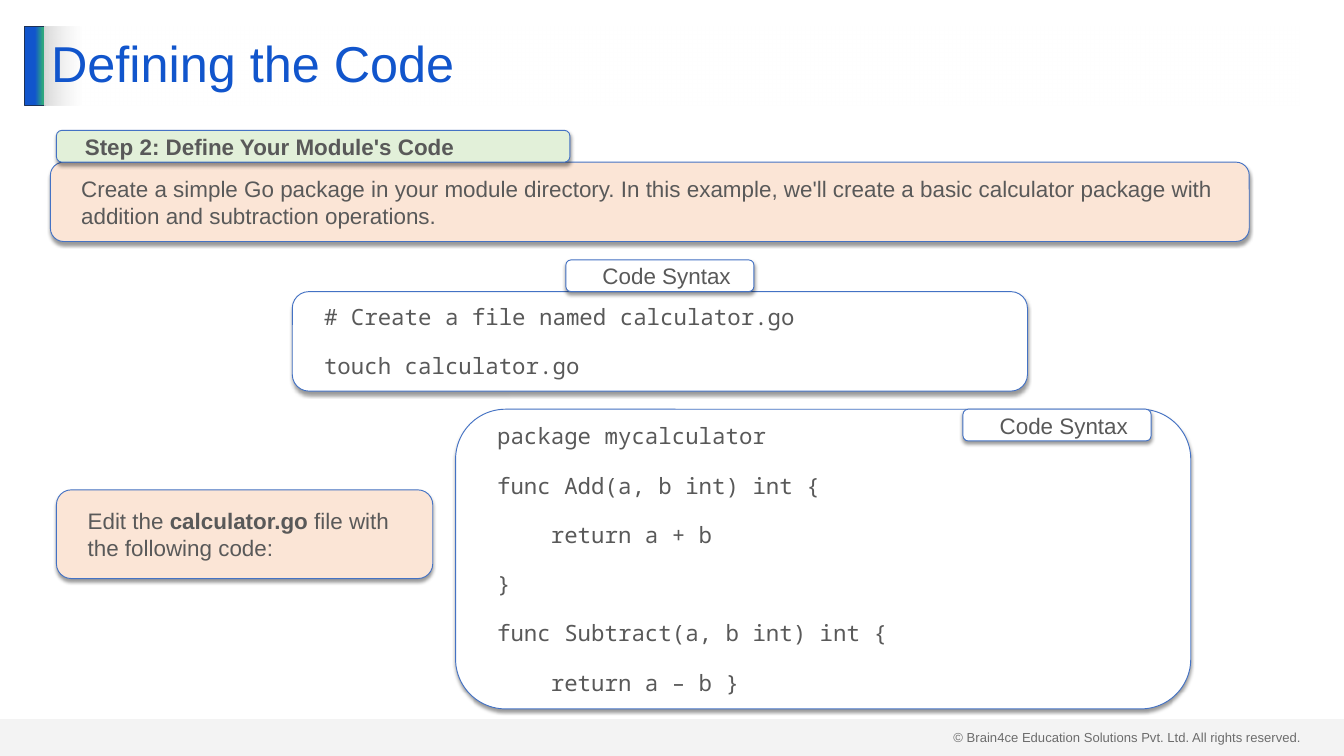
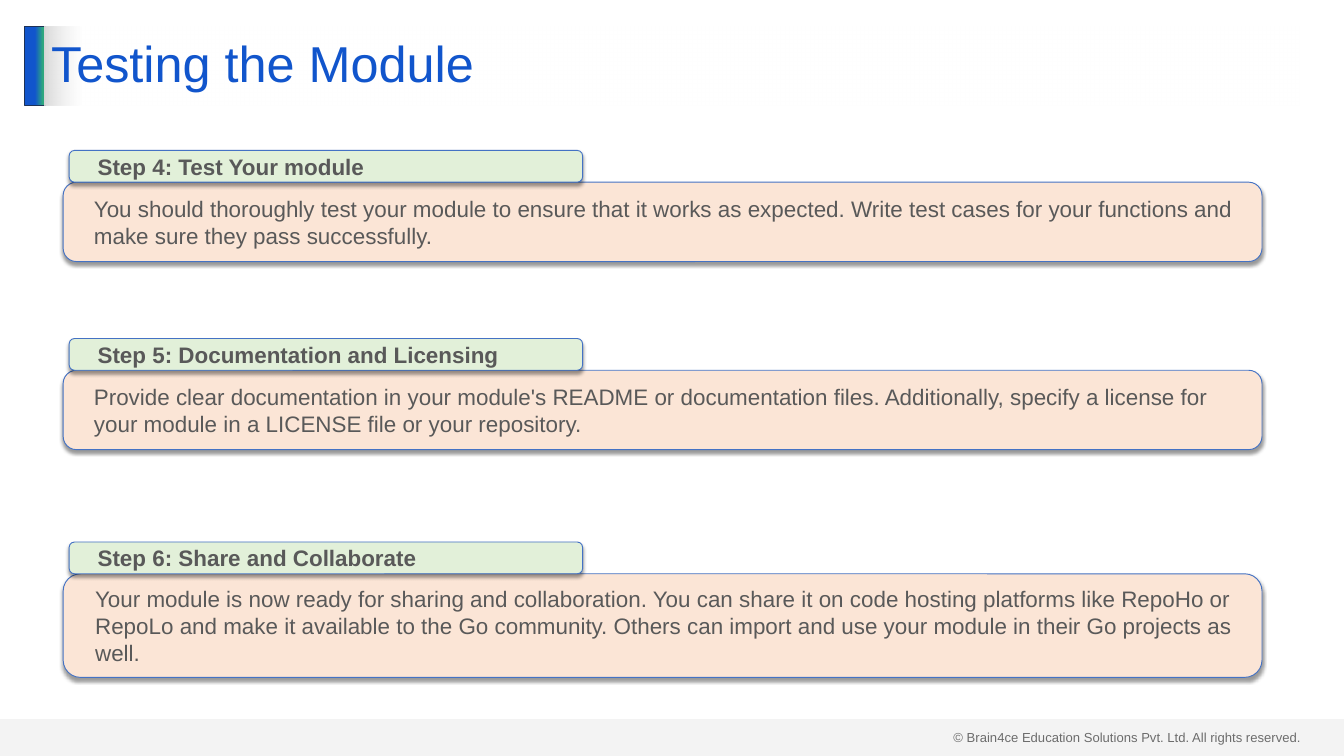
"""Builds two slides on writing and testing a Go module."""
from dataclasses import dataclass

from lxml import etree
from pptx import Presentation
from pptx import util as u
from pptx.dml.color import RGBColor
from pptx.enum import shapes, text
from pptx.oxml import ns

FOOTER = "© Brain4ce Education Solutions Pvt. Ltd. All rights reserved."

# Each part: kind, tab label, lines, (left, top, width, height) in percent of the slide
PAGES = [
    ("Defining the Code", [
        ("step", "Step 2: Define Your Module's Code",
         ["Create a simple Go package in your module directory. In this example, "
          "we'll create a basic calculator package with addition and subtraction operations."],
         (3.75, 21.45, 89.2, 10.5)),
        ("code", "Code Syntax",
         ["# Create a file named calculator.go", "touch calculator.go"],
         (21.75, 38.58, 54.7, 13.16)),
        ("note", None,
         ["Edit the **calculator.go **file with the following code:"],
         (4.2, 64.8, 28, 11.73)),
        ("listing", "Code Syntax",
         ["package mycalculator",
          "func Add(a, b int) int {",
          "    return a + b",
          "}",
          "func Subtract(a, b int) int {",
          "    return a – b }"],
         (33.9, 54.13, 54.7, 39.64)),
    ]),
    ("Testing the Module", [
        ("step", "Step 4: Test Your module",
         ["You should thoroughly test your module to ensure that it works as expected. "
          "Write test cases for your functions and make sure they pass successfully."],
         (4.7, 24.1, 89.2, 10.5)),
        ("step", "Step 5: Documentation and Licensing",
         ["Provide clear documentation in your module's README or documentation files. "
          "Additionally, specify a license for your module in a LICENSE file or your repository."],
         (4.7, 48.98, 89.2, 10.5)),
        ("step", "Step 6: Share and Collaborate",
         ["Your module is now ready for sharing and collaboration. You can share it on code "
          "hosting platforms like RepoHo or RepoLo and make it available to the Go community. "
          "Others can import and use your module in their Go projects as well."],
         (4.7, 75.9, 89.2, 13.7)),
    ]),
]


@dataclass(frozen=True)
class Theme:
    """Colours, fonts and type sizes."""
    blue: str = "1155CC"
    green: str = "2EA87D"
    navy: str = "1E3256"
    grey: str = "D9D9D9"
    white: str = "FFFFFF"
    peach: str = "FBE5D6"
    mint: str = "E2F0D9"
    outline: str = "4472C4"
    ink: str = "595959"
    footer_ink: str = "404040"
    sans: str = "Arial"
    mono: str = "Noto Sans Mono"
    title_size: int = 54
    body_size: int = 24
    footer_size: int = 14
    gap: int = 12


THEME = Theme()
WIDTH, HEIGHT = u.Inches(20), u.Inches(11.25)
TAB_HEIGHT, STEP_TAB_WIDTH, CODE_TAB_WIDTH = 4.2, 38.2, 14
STEP_TAB_SHIFT, LISTING_TAB_MARGIN = 0.45, 2.95


def place(left, top, width, height):
    """Turn percentages of the slide into lengths."""
    return [round(share * side / 100) for share, side in
            ((left, WIDTH), (top, HEIGHT), (width, WIDTH), (height, HEIGHT))]


def add_xml(parent, tag, **attributes):
    """Append a drawing element with the given attributes."""
    return etree.SubElement(parent, ns.qn("a:" + tag),
                            {name: str(value) for name, value in attributes.items()})


def add_colour(parent, colour, alpha=100):
    """Append a colour with its opacity in percent."""
    add_xml(add_xml(parent, "srgbClr", val=colour), "alpha", val=alpha * 1000)


def add_gradient(shape, stops):
    """Fill a shape with a left-to-right gradient."""
    shape.fill.background()
    empty = shape._element.spPr.find(ns.qn("a:noFill"))
    gradient = etree.Element(ns.qn("a:gradFill"), rotWithShape="1")
    stop_list = add_xml(gradient, "gsLst")
    for position, colour, alpha in stops:
        add_colour(add_xml(stop_list, "gs", pos=position * 1000), colour, alpha)
    add_xml(gradient, "lin", ang=0, scaled=0)
    empty.getparent().replace(empty, gradient)


def style(target, size, colour, name=THEME.sans, bold=False):
    """Format the font of a run."""
    font = target.font
    font.size, font.name, font.bold = u.Pt(size), name, bold
    font.color.rgb = RGBColor.from_string(colour)


def add_block(page, kind, area, fill, line=None):
    """Add a flat shape with an optional outline."""
    shape = page.shapes.add_shape(kind, *place(*area))
    shape.shadow.inherit = False
    shape.fill.solid()
    shape.fill.fore_color.rgb = RGBColor.from_string(fill)
    if line:
        shape.line.color.rgb = RGBColor.from_string(line)
        shape.line.width = u.Pt(1)
    else:
        shape.line.fill.background()
    return shape


def add_card(page, area, fill, lines, name=THEME.sans, bold=False, align=text.PP_ALIGN.LEFT):
    """Add a rounded, shadowed box; text between ** marks is bold."""
    card = add_block(page, shapes.MSO_SHAPE.ROUNDED_RECTANGLE, area, fill, THEME.outline)
    effects = card._element.spPr.find(ns.qn("a:effectLst"))
    shadow = add_xml(effects, "outerShdw", blurRad=u.Pt(4), dist=u.Pt(3),
                     dir=90 * 60000, algn="t", rotWithShape=0)
    add_colour(shadow, "000000", 40)
    frame = card.text_frame
    frame.word_wrap = True
    frame.vertical_anchor = text.MSO_ANCHOR.MIDDLE
    frame.margin_left = frame.margin_right = u.Inches(0.2)
    frame.margin_top = frame.margin_bottom = u.Inches(0.1)
    for index, line in enumerate(lines):
        para = frame.add_paragraph() if index else frame.paragraphs[0]
        para.alignment, para.level = align, 1
        properties = para._p.get_or_add_pPr()
        properties.set("marL", str(u.Inches(0.2)))
        properties.set("indent", "0")
        para.space_before = u.Pt(THEME.gap if index else 0)
        para.space_after = u.Pt(THEME.gap if index < len(lines) - 1 else 0)
        for order, part in enumerate(line.split("**")):
            span = para.add_run()
            span.text = part
            style(span, THEME.body_size, THEME.ink, name, bold or order % 2 == 1)


def add_part(page, kind, label, lines, area):
    """Add a panel and the tab that belongs to it."""
    left, top, width, _ = area
    is_code = kind in ("code", "listing")
    add_card(page, area, THEME.white if is_code else THEME.peach, lines,
             THEME.mono if is_code else THEME.sans)
    if kind == "step":
        add_card(page, (left + STEP_TAB_SHIFT, top - TAB_HEIGHT, STEP_TAB_WIDTH, TAB_HEIGHT),
                 THEME.mint, [label], bold=True)
    elif is_code:
        spare = width - CODE_TAB_WIDTH
        corner = ((left + spare / 2, top - TAB_HEIGHT) if kind == "code"
                  else (left + spare - LISTING_TAB_MARGIN, top))
        add_card(page, (*corner, CODE_TAB_WIDTH, TAB_HEIGHT), THEME.white, [label],
                 align=text.PP_ALIGN.CENTER)


def decorate(layout, page):
    """Build the footer and title bar, then move them to the shared layout."""
    footer = page.shapes.add_textbox(*place(70.45, 96, 27.05, 3.02))
    frame = footer.text_frame
    frame.word_wrap = True
    frame.auto_size = text.MSO_AUTO_SIZE.SHAPE_TO_FIT_TEXT
    frame.text = FOOTER
    style(frame.paragraphs[0].runs[0], THEME.footer_size, THEME.footer_ink)
    rectangle = shapes.MSO_SHAPE.RECTANGLE
    bar = add_block(page, rectangle, (1.85, 3.47, 1.5, 10.49), THEME.blue, THEME.navy)
    add_gradient(bar, [(51, THEME.blue, 100), (90, THEME.green, 100), (100, THEME.green, 100)])
    band = add_block(page, rectangle, (0, 95.11, 100, 4.89), THEME.grey)
    add_xml(band._element.spPr.find(".//" + ns.qn("a:srgbClr")), "alpha", val=29000)
    for shape in (footer, bar, band):
        layout.shapes._spTree.append(shape._element)


def set_title(page, wording):
    """Place and format the title placeholder."""
    title = page.shapes.title
    title.left, title.top, title.width, title.height = place(3.3, 3.47, 93.35, 10.49)
    add_gradient(title, [(0, THEME.grey, 100), (3, THEME.white, 50)])
    frame = title.text_frame
    frame.text = wording
    frame.word_wrap = True
    frame.auto_size = text.MSO_AUTO_SIZE.NONE
    frame.vertical_anchor = text.MSO_ANCHOR.MIDDLE
    para = frame.paragraphs[0]
    para.alignment, para.line_spacing = text.PP_ALIGN.LEFT, 0.9
    style(para.runs[0], THEME.title_size, THEME.blue)


def main():
    """Build and save the deck."""
    deck = Presentation()
    deck.slide_width, deck.slide_height = WIDTH, HEIGHT
    layout = deck.slide_layouts.get_by_name("Title Only")
    for index, (wording, parts) in enumerate(PAGES):
        page = deck.slides.add_slide(layout)
        if index == 0:
            decorate(layout, page)
        set_title(page, wording)
        for part in parts:
            add_part(page, *part)
    deck.save("out.pptx")


if __name__ == "__main__":
    main()
